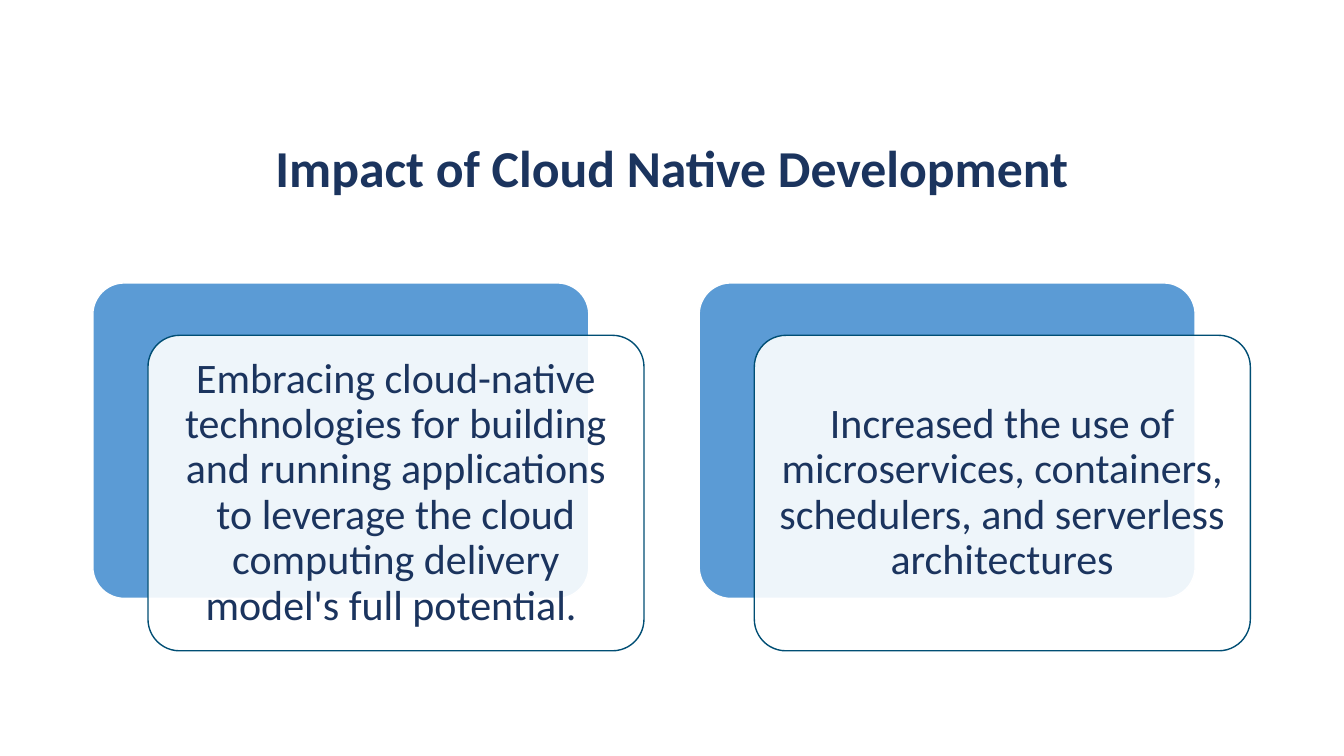
"""Build a slide on the impact of cloud native development."""
import dataclasses

import lxml.etree
import pptx
import pptx.dml.color
import pptx.enum.shapes
import pptx.enum.text
import pptx.oxml.ns
import pptx.util
from pptx.util import Cm


@dataclasses.dataclass(frozen=True)
class Theme:
    """Colours, font and type sizes of the slide."""
    font: str = "Calibri"
    ink: str = "1B345E"
    panel: str = "5B9BD5"
    card: str = "FFFFFF"
    card_line: str = "004E74"
    title_size: int = 37
    body_size: int = 30


THEME = Theme()
CARD_TEXTS = (
    "Embracing cloud-native technologies for building and running applications "
    "to leverage the cloud computing delivery model's full potential. ",
    "Increased the use of microservices, containers, schedulers, and "
    "serverless architectures",
)
LEFT, TOP = Cm(2.34), Cm(7.13)
COLUMN_STEP = Cm(15.28)
CARD_WIDTH, CARD_HEIGHT = Cm(12.5), Cm(7.95)
OFFSET_X, OFFSET_Y = Cm(1.39), Cm(1.32)


def rgb(value):
    """Return a colour object for a hex value."""
    return pptx.dml.color.RGBColor.from_string(value)


def write_text(shape, text, *, size, bold=False, line_spacing=None,
               anchor=pptx.enum.text.MSO_ANCHOR.MIDDLE, inset=None):
    """Write one centred paragraph into a shape."""
    frame = shape.text_frame
    frame.word_wrap = True
    frame.auto_size = pptx.enum.text.MSO_AUTO_SIZE.NONE
    frame.vertical_anchor = anchor
    if inset is not None:
        frame.margin_left = frame.margin_right = inset
        frame.margin_top = frame.margin_bottom = inset
    paragraph = frame.paragraphs[0]
    paragraph.alignment = pptx.enum.text.PP_ALIGN.CENTER
    paragraph.line_spacing = line_spacing
    run = paragraph.add_run()
    run.text = text
    run.font.name = THEME.font
    run.font.size = pptx.util.Pt(size)
    run.font.bold = bold
    run.font.color.rgb = rgb(THEME.ink)


def set_opacity(shape, percent):
    """Make the solid fill of a shape partly transparent."""
    colour = shape.fill._xPr.find(".//" + pptx.oxml.ns.qn("a:srgbClr"))
    alpha = lxml.etree.SubElement(colour, pptx.oxml.ns.qn("a:alpha"))
    alpha.set("val", str(percent * 1000))


def add_rounded_box(slide, left, top, fill, line):
    """Add a rounded rectangle of the card size."""
    shape = slide.shapes.add_shape(
        pptx.enum.shapes.MSO_SHAPE.ROUNDED_RECTANGLE,
        left, top, CARD_WIDTH, CARD_HEIGHT)
    shape.adjustments[0] = 0.1
    shape.shadow.inherit = False
    shape.fill.solid()
    shape.fill.fore_color.rgb = rgb(fill)
    shape.line.color.rgb = rgb(line)
    shape.line.width = pptx.util.Pt(1)
    return shape


def add_layered_card(slide, left, text):
    """Add a blue panel with a translucent text card over it."""
    add_rounded_box(slide, left, TOP, THEME.panel, THEME.card)
    card = add_rounded_box(slide, left + OFFSET_X, TOP + OFFSET_Y,
                           THEME.card, THEME.card_line)
    set_opacity(card, 90)
    write_text(card, text, size=THEME.body_size, line_spacing=0.9,
               inset=Cm(0.3))


def add_title(slide, text):
    """Place and format the title placeholder."""
    title = slide.shapes.title
    title.left, title.top = Cm(2.34), Cm(1.89)
    title.width, title.height = Cm(29.18), Cm(3.23)
    write_text(title, text, size=THEME.title_size, bold=True,
               anchor=pptx.enum.text.MSO_ANCHOR.BOTTOM)


def main():
    """Build and save the presentation."""
    presentation = pptx.Presentation()
    presentation.slide_width = Cm(33.87)
    presentation.slide_height = Cm(19.05)
    slide = presentation.slides.add_slide(presentation.slide_layouts[5])
    add_title(slide, "Impact of Cloud Native Development")
    for column, text in enumerate(CARD_TEXTS):
        add_layered_card(slide, LEFT + column * COLUMN_STEP, text)
    presentation.save("out.pptx")


if __name__ == "__main__":
    main()
